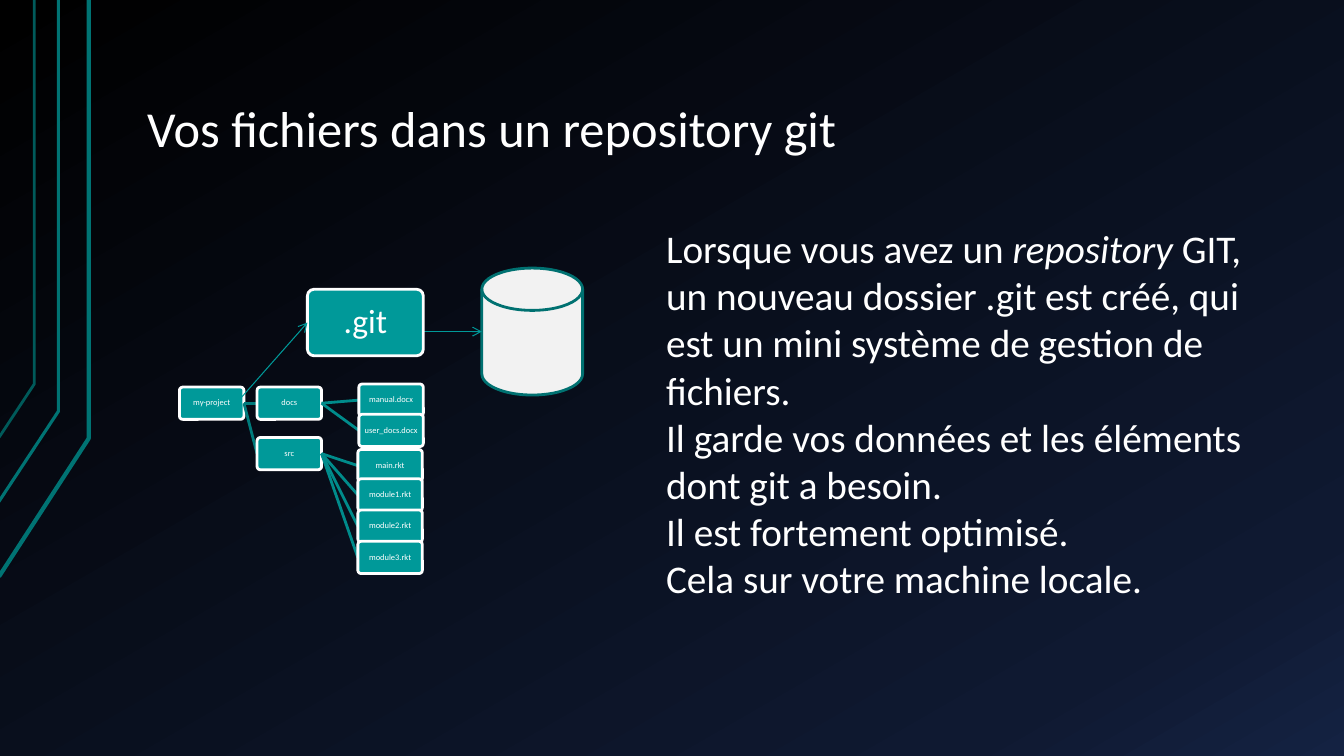
"""Build the slide that shows project files in a git repository."""
from copy import deepcopy

from lxml import etree
from pptx import Presentation
from pptx import util as u
from pptx.dml.color import RGBColor
from pptx.enum import shapes, text
from pptx.oxml.ns import qn

WHITE = RGBColor(0xFF, 0xFF, 0xFF)
TEAL = RGBColor(0x00, 0x99, 0x99)
TRUNK = RGBColor(0x00, 0x7B, 0x7B)
BRANCH = RGBColor(0x00, 0x8B, 0x8B)
RAIL = RGBColor(0x00, 0x73, 0x73)
FAINT_RAIL = RGBColor(0x00, 0x5A, 0x5A)
DISK_FILL = RGBColor(0xF2, 0xF2, 0xF2)
DISK_EDGE = RGBColor(0x00, 0x71, 0x71)
BACKGROUND = [
    (0, RGBColor(0x00, 0x00, 0x00)),
    (0.85, RGBColor(0x0F, 0x19, 0x31)),
    (1, RGBColor(0x14, 0x22, 0x42)),
]
COLUMNS, ROWS = 133.33, 75
NODE_WIDTH, NODE_HEIGHT = 6.4, 3.2

RAILS = [
    ([(-0.1, 57.2), (8.8, 43.5), (8.8, 0)], RAIL, 3),
    ([(-0.2, 49.9), (5.8, 40.8), (5.8, 0)], RAIL, 2.25),
    ([(-0.1, 43.4), (3.4, 38.1), (3.4, 0)], FAINT_RAIL, 2),
]
ROOT = ("my-project", 17.8, 38.4)
FOLDERS = [
    (("docs", 25.5, 38.4), [("manual.docx", 35.6, 38.1), ("user_docs.docx", 35.6, 41.1)]),
    (("src", 25.5, 43.4), [
        ("main.rkt", 35.5, 44.6), ("module1.rkt", 35.5, 47.5),
        ("module2.rkt", 35.5, 50.6), ("module3.rkt", 35.5, 53.7),
    ]),
]
BODY = [
    [("Lorsque vous avez un ", False), ("repository", True),
     (" GIT, un nouveau dossier .git est créé, qui est un mini système de gestion de fichiers.", False)],
    [("Il garde vos données et les éléments dont git a besoin.", False)],
    [("Il est fortement optimisé.", False)],
    [("Cela sur votre machine locale.", False)],
]


def apply(target, **formats):
    """Set each named format value on the target."""
    for name, value in formats.items():
        setattr(target, name, value)


class Deck:
    """Hold the style, the grid and the current slide."""

    font_name = "Calibri"

    def __init__(self, presentation):
        """Add a title-only slide and measure the grid."""
        self.cell_width = presentation.slide_width / COLUMNS
        self.cell_height = presentation.slide_height / ROWS
        self.slide = presentation.slides.add_slide(presentation.slide_layouts[5])
        self.shapes = self.slide.shapes

    def point(self, column, row):
        """Turn a grid position or size into slide lengths."""
        return u.Emu(round(column * self.cell_width)), u.Emu(round(row * self.cell_height))

    def background(self, stops, angle):
        """Fill the background with a gradient."""
        fill = self.slide.background.fill
        fill.gradient()
        fill.gradient_angle = angle
        stop_list = self.slide.element.xpath(".//a:gsLst")[0]
        while len(stop_list) < len(stops):
            stop_list.append(deepcopy(stop_list[-1]))
        for stop, (position, color) in zip(fill.gradient_stops, stops):
            stop.position = position
            stop.color.rgb = color

    def add_words(self, paragraph, words, size, italic=False):
        """Add one styled run to a paragraph."""
        run = paragraph.add_run()
        run.text = words
        apply(run.font, name=self.font_name, size=u.Pt(size), italic=italic)
        run.font.color.rgb = WHITE

    def outline(self, line, color, width):
        """Color a line and set its width."""
        line.color.rgb = color
        line.width = u.Pt(width)

    def title(self, words, position, size):
        """Place and style the title."""
        shape = self.shapes.title
        left, top = self.point(*position)
        width, height = self.point(*size)
        apply(shape, left=left, top=top, width=width, height=height)
        frame = shape.text_frame
        apply(frame, auto_size=text.MSO_AUTO_SIZE.NONE, word_wrap=True,
              vertical_anchor=text.MSO_ANCHOR.BOTTOM,
              margin_left=u.Inches(0.13), margin_right=u.Inches(0.13),
              margin_top=u.Inches(0.07), margin_bottom=u.Inches(0.07))
        apply(frame.paragraphs[0], alignment=text.PP_ALIGN.LEFT, line_spacing=0.9)
        self.add_words(frame.paragraphs[0], words, 36)

    def rail(self, points, color, width):
        """Draw an open decorative outline."""
        start, *rest = [self.point(*point) for point in points]
        builder = self.shapes.build_freeform(*start)
        builder.add_line_segments(rest, close=False)
        shape = builder.convert_to_shape()
        shape.shadow.inherit = False
        shape.fill.background()
        self.outline(shape.line, color, width)

    def box(self, kind, position, size, fill, edge):
        """Draw a filled preset shape."""
        shape = self.shapes.add_shape(kind, *self.point(*position), *self.point(*size))
        shape.shadow.inherit = False
        shape.fill.solid()
        shape.fill.fore_color.rgb = fill
        self.outline(shape.line, edge, 2)
        return shape

    def node(self, words, column, row, width=NODE_WIDTH, height=NODE_HEIGHT, size=6):
        """Draw a rounded box with a centred label."""
        shape = self.box(shapes.MSO_SHAPE.ROUNDED_RECTANGLE, (column, row), (width, height), TEAL, WHITE)
        shape.adjustments[0] = 0.1
        frame = shape.text_frame
        apply(frame, word_wrap=True, vertical_anchor=text.MSO_ANCHOR.MIDDLE,
              margin_left=0, margin_right=0, margin_top=0, margin_bottom=0)
        apply(frame.paragraphs[0], alignment=text.PP_ALIGN.CENTER, line_spacing=0.9)
        self.add_words(frame.paragraphs[0], words, size)

    def connect(self, start, end, color, width, arrow=False):
        """Draw a straight line, with an arrowhead if asked."""
        line = self.shapes.add_connector(
            shapes.MSO_CONNECTOR.STRAIGHT, *self.point(*start), *self.point(*end))
        self.outline(line.line, color, width)
        properties = line.element.spPr
        etree.SubElement(properties, qn("a:effectLst"))
        if arrow:
            etree.SubElement(properties.find(qn("a:ln")), qn("a:tailEnd"), type="arrow")

    def child(self, parent, node, color):
        """Draw a node and its link from the parent."""
        middle = NODE_HEIGHT / 2
        self.connect((parent[1] + NODE_WIDTH, parent[2] + middle),
                     (node[1], node[2] + middle), color, 2)
        self.node(*node)

    def body(self, paragraphs, position, size):
        """Add the explanatory text."""
        box = self.shapes.add_textbox(*self.point(*position), *self.point(*size))
        frame = box.text_frame
        apply(frame, word_wrap=True, auto_size=text.MSO_AUTO_SIZE.SHAPE_TO_FIT_TEXT)
        for index, runs in enumerate(paragraphs):
            paragraph = frame.add_paragraph() if index else frame.paragraphs[0]
            for words, italic in runs:
                self.add_words(paragraph, words, 28, italic)


def main():
    """Build and save the slide."""
    presentation = Presentation()
    apply(presentation, slide_width=u.Inches(13.33), slide_height=u.Inches(7.5))
    deck = Deck(presentation)
    deck.background(BACKGROUND, 300)
    for rail in RAILS:
        deck.rail(*rail)
    deck.title("Vos fichiers dans un repository git", (13.3, 3), (113.3, 13.4))
    deck.node(*ROOT)
    for folder, files in FOLDERS:
        deck.child(ROOT, folder, TRUNK)
        for file in files:
            deck.child(folder, file, BRANCH)
    deck.box(shapes.MSO_SHAPE.FLOWCHART_MAGNETIC_DISK, (47.8, 26.6), (10, 12.6), DISK_FILL, DISK_EDGE)
    deck.connect((41.8, 32.9), (47.8, 32.9), TEAL, 0.75, arrow=True)
    deck.node(".git", 30.5, 28.7, 11.5, 6.6, 24)
    deck.connect((23.8, 39.6), (30.5, 32), TEAL, 0.75, arrow=True)
    deck.body(BODY, (65.1, 21.8), (63, 38.7))
    presentation.save("out.pptx")


if __name__ == "__main__":
    main()
